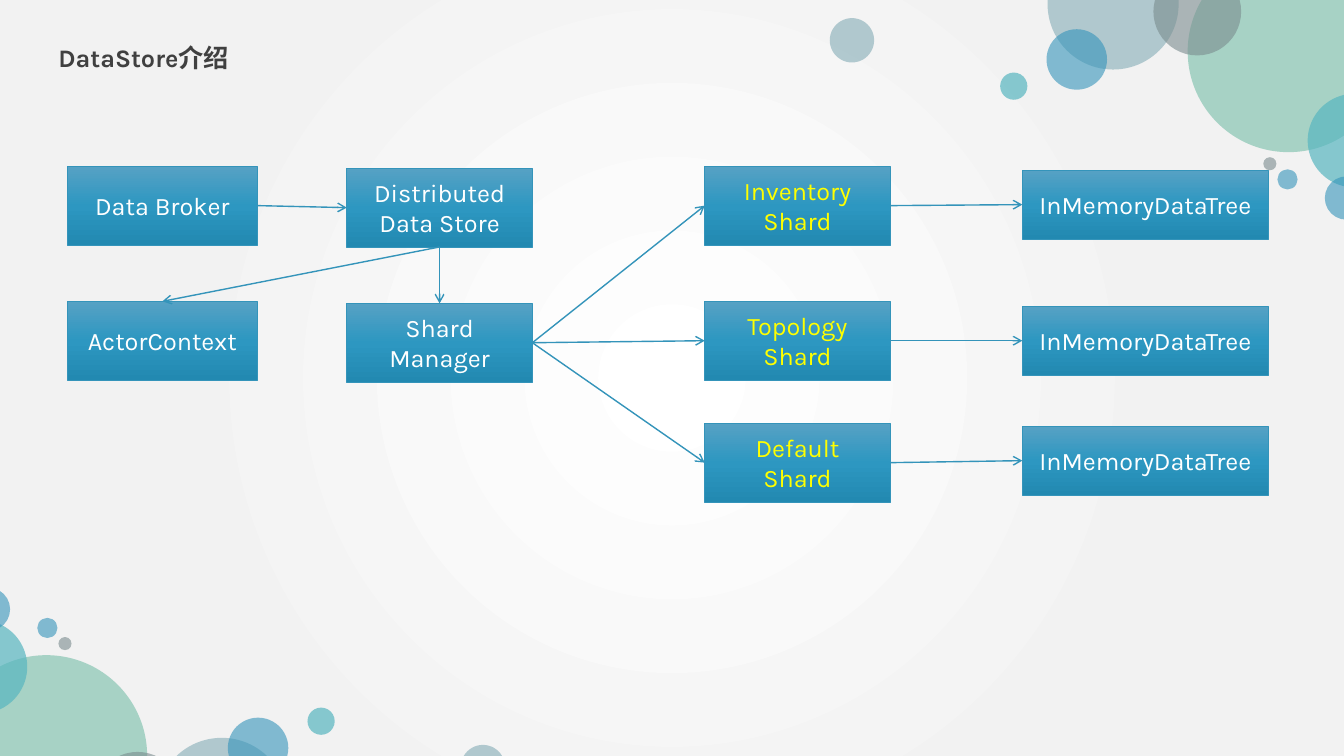
import pptx
import pptx.dml.color
import pptx.enum.shapes
import pptx.enum.text
import pptx.oxml.ns
import pptx.util
from lxml import etree
from pptx.dml.color import RGBColor
from pptx.util import Inches

FONT = "Karla"
WHITE = RGBColor(0xFF, 0xFF, 0xFF)
YELLOW = RGBColor(0xFF, 0xFF, 0x00)
DARK_GRAY = RGBColor(0x40, 0x40, 0x40)
LIGHT_GRAY = RGBColor(0xF2, 0xF2, 0xF2)
BLUE = RGBColor(0x34, 0x94, 0xBA)
TEAL = RGBColor(0x58, 0xB6, 0xC0)
GREEN = RGBColor(0x75, 0xBD, 0xA7)
MIST = RGBColor(0x84, 0xAC, 0xB6)
SLATE = RGBColor(0x7A, 0x8C, 0x8E)
BOX_STOPS = [
    (0, RGBColor(0x56, 0xA1, 0xC4)),
    (50, RGBColor(0x2D, 0x97, 0xC1)),
    (100, RGBColor(0x22, 0x89, 0xB1)),
]
BACKGROUND_STOPS = [(0, WHITE), (67, LIGHT_GRAY), (100, LIGHT_GRAY)]
BUBBLES = [
    (10.39, -0.61, 1.3, MIST, 60),
    (11.78, -0.49, 2, GREEN, 60),
    (11.44, -0.32, 0.87, SLATE, 60),
    (10.38, 0.29, 0.6, BLUE, 60),
    (12.97, 0.93, 0.93, TEAL, 70),
    (9.92, 0.72, 0.27, TEAL, 70),
    (13.14, 1.75, 0.43, BLUE, 60),
    (12.67, 1.68, 0.2, BLUE, 60),
    (12.53, 1.56, 0.13, SLATE, 60),
    (8.23, 0.18, 0.44, MIST, 60),
]
MIRROR_X, MIRROR_Y = 13.24, 8.01
SHARDS = [
    ("Inventory\nShard", 1.65, 1.69),
    ("Topology\nShard", 2.99, 3.04),
    ("Default\nShard", 4.2, 4.23),
]
TOP, LEFT, BOTTOM, RIGHT = range(4)


def add_element(parent, tag, **attributes):
    """Append a drawing element with the given attributes."""
    element = etree.SubElement(parent, pptx.oxml.ns.qn(tag))
    for name, value in attributes.items():
        element.set(name, str(value))
    return element


def set_gradient(fill, owner, stops, radial=False):
    """Fill the owner with a vertical or a centred circular gradient."""
    fill.gradient()
    gradient = owner.find(".//" + pptx.oxml.ns.qn("a:gradFill"))
    for child in list(gradient):
        gradient.remove(child)
    stop_list = add_element(gradient, "a:gsLst")
    for position, color in stops:
        stop = add_element(stop_list, "a:gs", pos=position * 1000)
        add_element(stop, "a:srgbClr", val=color)
    if radial:
        circle = add_element(gradient, "a:path", path="circle")
        add_element(circle, "a:fillToRect", l=50000, t=50000, r=50000, b=50000)
    else:
        add_element(gradient, "a:lin", ang=5400000, scaled=0)


def write_text(frame, text, *, color, bold=False, align=None, line_spacing=None, space_before=None):
    """Write one paragraph per line of text in the given format."""
    frame.word_wrap = True
    for index, line in enumerate(text.split("\n")):
        paragraph = frame.add_paragraph() if index else frame.paragraphs[0]
        paragraph.alignment = align
        paragraph.line_spacing = line_spacing
        paragraph.space_before = space_before
        run = paragraph.add_run()
        run.text = line
        run.font.name = FONT
        run.font.size = pptx.util.Pt(18)
        run.font.bold = bold
        run.font.color.rgb = color


def add_bubble(slide, left, top, size, color, opacity):
    """Add a translucent circle."""
    bubble = slide.shapes.add_shape(
        pptx.enum.shapes.MSO_SHAPE.OVAL, Inches(left), Inches(top), Inches(size), Inches(size)
    )
    bubble.shadow.inherit = False
    bubble.fill.solid()
    bubble.fill.fore_color.rgb = color
    bubble.line.fill.background()
    fill_color = bubble._element.spPr.find(".//" + pptx.oxml.ns.qn("a:srgbClr"))
    add_element(fill_color, "a:alpha", val=opacity * 1000)


def add_box(slide, text, left, top, width=1.84, height=0.78, color=WHITE):
    """Add a gradient component box with centred text."""
    box = slide.shapes.add_shape(
        pptx.enum.shapes.MSO_SHAPE.RECTANGLE, Inches(left), Inches(top), Inches(width), Inches(height)
    )
    box.shadow.inherit = False
    set_gradient(box.fill, box._element.spPr, BOX_STOPS)
    box.line.color.rgb = BLUE
    box.line.width = pptx.util.Pt(0.5)
    box.text_frame.vertical_anchor = pptx.enum.text.MSO_ANCHOR.MIDDLE
    write_text(box.text_frame, text, color=color, align=pptx.enum.text.PP_ALIGN.CENTER)
    return box


def add_arrow(slide, source, target, source_side=RIGHT, target_side=LEFT):
    """Connect two boxes with an open arrow."""
    arrow = slide.shapes.add_connector(pptx.enum.shapes.MSO_CONNECTOR.STRAIGHT, 0, 0, 0, 0)
    arrow.begin_connect(source, source_side)
    arrow.end_connect(target, target_side)
    arrow.line.color.rgb = BLUE
    arrow.line.width = pptx.util.Pt(1)
    add_element(arrow.line._get_or_add_ln(), "a:tailEnd", type="arrow")
    add_element(arrow._element.spPr, "a:effectLst")


def add_title(slide, text):
    """Add the slide title."""
    title = slide.shapes.add_textbox(Inches(0.48), Inches(0.28), Inches(3.72), Inches(0.44))
    write_text(
        title.text_frame, text, color=DARK_GRAY, bold=True,
        line_spacing=1.3, space_before=pptx.util.Pt(10),
    )


def main():
    """Build the data store slide."""
    presentation = pptx.Presentation()
    presentation.slide_width = Inches(13.33)
    presentation.slide_height = Inches(7.5)
    slide = presentation.slides.add_slide(presentation.slide_layouts[6])
    set_gradient(slide.background.fill, slide._element, BACKGROUND_STOPS, radial=True)

    for bubble in BUBBLES:
        add_bubble(slide, *bubble)
    for left, top, size, color, opacity in BUBBLES:
        add_bubble(slide, MIRROR_X - left - size, MIRROR_Y - top - size, size, color, opacity)

    add_title(slide, "DataStore介绍")
    broker = add_box(slide, "Data Broker", 0.67, 1.65, width=1.88)
    context = add_box(slide, "ActorContext", 0.67, 2.99, width=1.88)
    store = add_box(slide, "Distributed Data Store", 3.44, 1.67)
    manager = add_box(slide, "Shard\nManager", 3.44, 3.01)
    add_arrow(slide, broker, store)
    add_arrow(slide, store, manager, BOTTOM, TOP)
    add_arrow(slide, store, context, BOTTOM, TOP)

    for name, shard_top, tree_top in SHARDS:
        shard = add_box(slide, name, 6.99, shard_top, color=YELLOW)
        tree = add_box(slide, "InMemoryDataTree", 10.14, tree_top, width=2.44, height=0.68)
        add_arrow(slide, manager, shard)
        add_arrow(slide, shard, tree)

    presentation.save("out.pptx")


if __name__ == "__main__":
    main()
